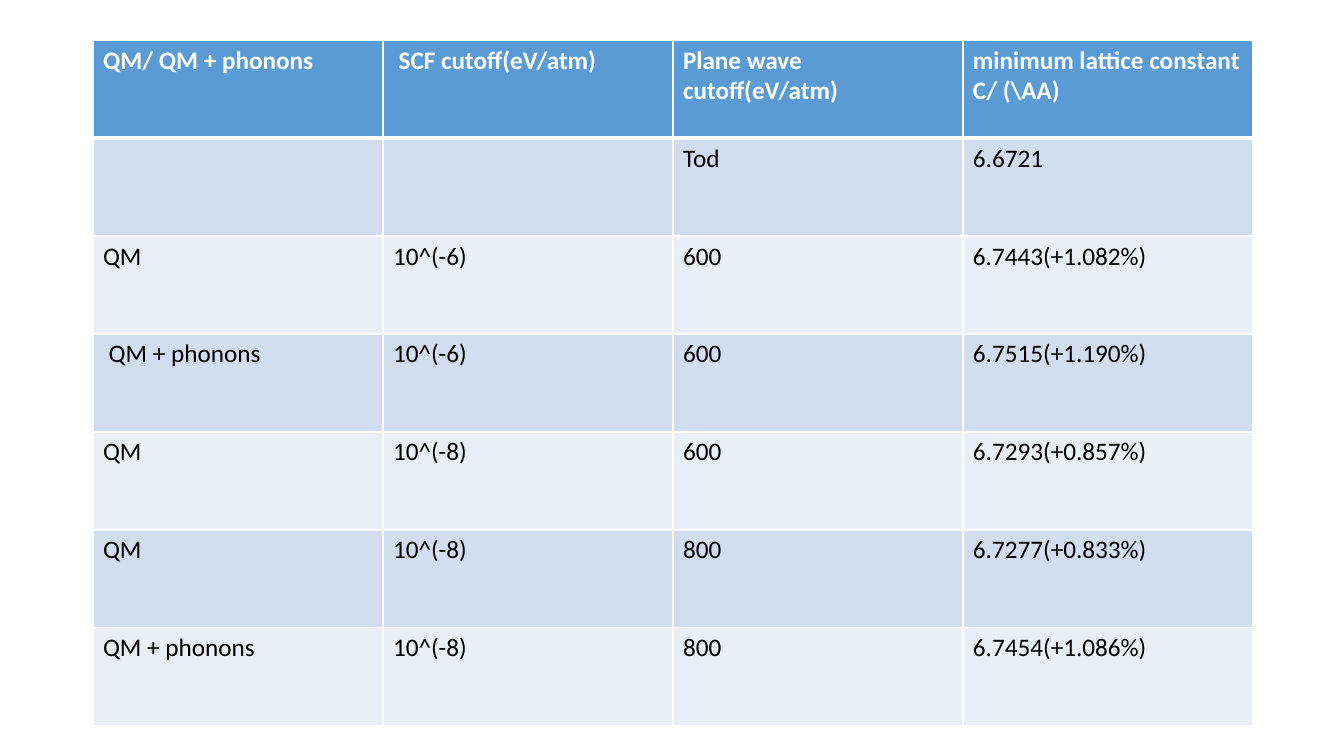
from lxml.etree import SubElement
from pptx import Presentation
from pptx.dml.color import RGBColor
from pptx.oxml.ns import qn
from pptx.util import Pt

SCALE = 914400 / 100.8
WHITE, BLACK, BLUE = "FFFFFF", "000000", "5B9BD5"
BANDS = ["D2DEEF", "EAEFF7"]
HEADS = ["QM/ QM + phonons", " SCF cutoff(eV/atm)",
         "Plane wave cutoff(eV/atm)", "minimum lattice constant C/ (\\AA)"]
RUNS = [
    ["", "", "Tod", "6.6721"],
    ["QM", "10^(-6)", "600", "6.7443(+1.082%)"],
    [" QM + phonons", "10^(-6)", "600", "6.7515(+1.190%)"],
    ["QM", "10^(-8)", "600", "6.7293(+0.857%)"],
    ["QM", "10^(-8)", "800", "6.7277(+0.833%)"],
    ["QM + phonons", "10^(-8)", "800", "6.7454(+1.086%)"],
]


def px(n):
    """Turn pixels into EMU."""
    return round(n * SCALE)


def paint(fill, color):
    """Apply a solid hex colour to a fill."""
    fill.solid()
    fill.fore_color.rgb = RGBColor.from_string(color)


def edge(cell, side, width):
    """Draw one white cell border, its width in points."""
    props = cell._tc.get_or_add_tcPr()
    line = SubElement(props, qn("a:ln" + side), w=str(Pt(width)))
    solid = SubElement(line, qn("a:solidFill"))
    SubElement(solid, qn("a:srgbClr"), val=WHITE)


def write(cell, text, head):
    """Put styled text into a cell."""
    cell.text = text
    font = cell.text_frame.paragraphs[0].font
    font.name, font.size, font.bold = "Calibri", Pt(18), head
    paint(font.fill, WHITE if head else BLACK)


def grid(slide, rows, left, top, wide, high):
    """Add a banded table with a header row and equal cells."""
    count, cols = len(rows), len(rows[0])
    frame = slide.shapes.add_table(count, cols, px(left), px(top),
                                   px(wide * cols), px(high * count))
    for r, row in enumerate(rows):
        for c, text in enumerate(row):
            cell = frame.table.cell(r, c)
            write(cell, text, r == 0)
            for side in "LRTB":
                thick = (r, side) in [(0, "B"), (1, "T")]
                edge(cell, side, 3 if thick else 1)
            paint(cell.fill, BANDS[(r - 1) % 2] if r else BLUE)


def main():
    """Build and save the slide."""
    deck = Presentation()
    deck.slide_width, deck.slide_height = px(1344), px(756)
    slide = deck.slides.add_slide(deck.slide_layouts[6])
    grid(slide, [HEADS] + RUNS, 93, 40, 290, 98)
    deck.save("out.pptx")


main()
